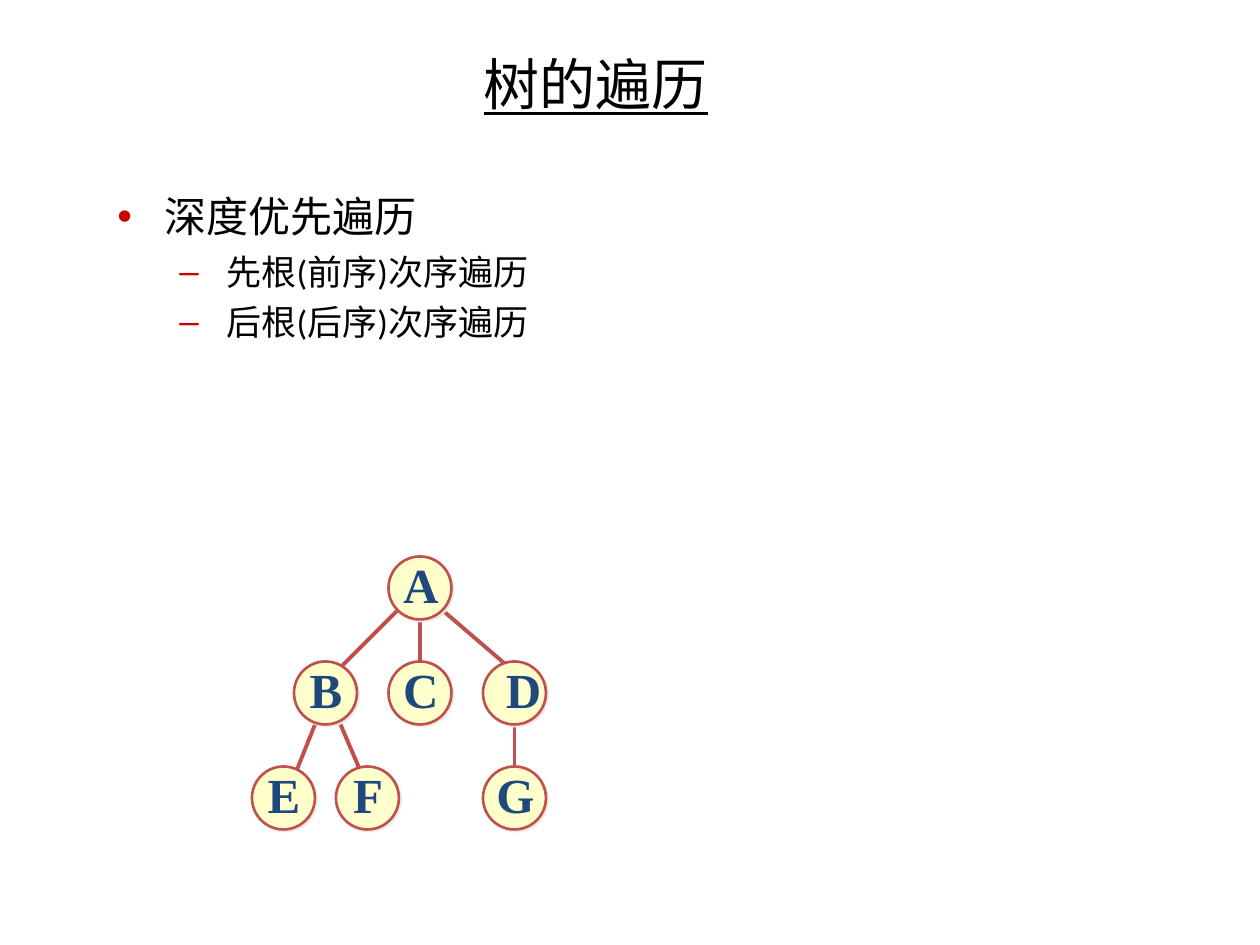
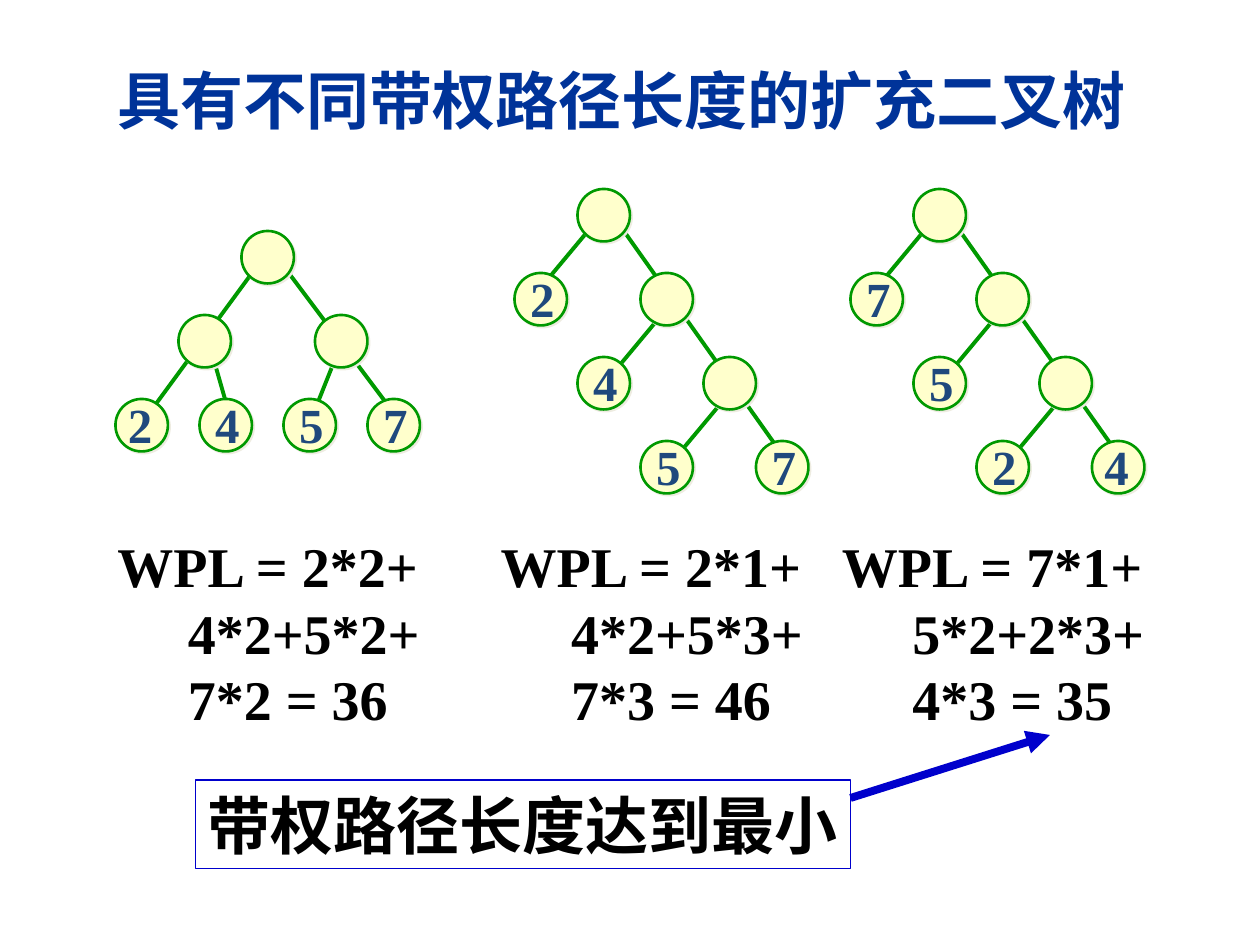
"""Builds two slides on tree traversal and weighted path length."""
from dataclasses import dataclass
from typing import Any, NamedTuple, Optional

from lxml import etree
from pptx import Presentation
from pptx import util as u
from pptx.dml.color import RGBColor
from pptx.enum import shapes, text
from pptx.oxml.ns import qn

PX = 7620


@dataclass(frozen=True)
class Theme:
    """Colours, fonts and sizes shared by the slides."""
    ink: str = "000000"
    heading: str = "003399"
    bullet: str = "CC0000"
    node: str = "FFFFCC"
    label: str = "1F497D"
    shadow: str = "EEECE1"
    red: str = "C0504D"
    green: str = "009900"
    accent: str = "0000CC"
    sans: str = "Calibri"
    serif: str = "Times New Roman"
    chinese: str = "Noto Sans CJK SC"
    banner_size: int = 36
    title_size: int = 32
    label_size: int = 28
    topic_size: int = 24
    item_size: int = 20


THEME = Theme()


class Box(NamedTuple):
    """Place and size in px."""
    x: int
    y: int
    w: int
    h: int


class Edge(NamedTuple):
    """Line ends in px."""
    x1: int
    y1: int
    x2: int
    y2: int


class Node(NamedTuple):
    """Tree node with an optional label, nudged from the node's left side."""
    x: int
    y: int
    label: str = ""
    nudge: int = 3


class Line(NamedTuple):
    """Paragraph with its indents and bullet."""
    words: str
    size: int
    margin: int = 0
    hanging: int = 0
    bullet: str = ""
    before: int = 0


@dataclass(frozen=True)
class Tree:
    """Nodes and edges drawn in one style."""
    nodes: list[Node]
    edges: list[Edge]
    color: str
    size: int
    rise: int

    def shifted(self, dx: int, labels: list[Node]) -> "Tree":
        """Return the tree moved to the right with other nodes' labels."""
        nodes = [Node(n.x + dx, n.y, m.label, m.nudge) for n, m in zip(self.nodes, labels)]
        edges = [Edge(e.x1 + dx, e.y1, e.x2 + dx, e.y2) for e in self.edges]
        return Tree(nodes, edges, self.color, self.size, self.rise)


def px(length: int) -> u.Emu:
    """Turn px into EMU."""
    return u.Emu(length * PX)


def rgb(color: str) -> RGBColor:
    """Turn a hex string into a colour."""
    return RGBColor.from_string(color)


def child(parent: Any, tag: str, **attributes: str) -> Any:
    """Append a drawing element."""
    return etree.SubElement(parent, qn(tag), attributes)


def set_marks(paragraph: Any, line: Line) -> None:
    """Set the indents and bullet of a paragraph."""
    props = paragraph._p.get_or_add_pPr()
    props.set("marL", str(px(line.margin)))
    props.set("indent", str(px(-line.hanging)))
    if line.bullet:
        child(child(props, "a:buClr"), "a:srgbClr", val=THEME.bullet)
        child(props, "a:buFont", typeface="Arial")
        child(props, "a:buChar", char=line.bullet)


def write(shape: Any, lines: list[Line], *, font: str = THEME.serif, color: str = THEME.ink,
          bold: bool = False, underline: bool = False, centred: bool = False,
          middle: bool = False, wrap: bool = True, pitch: Optional[int] = None) -> None:
    """Fill a shape with formatted lines."""
    frame = shape.text_frame
    frame.word_wrap = wrap
    frame.vertical_anchor = text.MSO_ANCHOR.MIDDLE if middle else text.MSO_ANCHOR.TOP
    for index, line in enumerate(lines):
        paragraph = frame.paragraphs[0] if index == 0 else frame.add_paragraph()
        set_marks(paragraph, line)
        paragraph.alignment = text.PP_ALIGN.CENTER if centred else text.PP_ALIGN.LEFT
        paragraph.space_before = u.Pt(line.before)
        if pitch:
            paragraph.line_spacing = u.Pt(pitch)
        run = paragraph.add_run()
        run.text = line.words
        run.font.name, run.font.size = font, u.Pt(line.size)
        run.font.bold, run.font.underline = bold, underline
        run.font.color.rgb = rgb(color)
        child(run._r.get_or_add_rPr(), "a:ea", typeface=THEME.chinese)


def add_text(slide: Any, box: Box, lines: list[Line], **style: Any) -> None:
    """Add a text box."""
    write(slide.shapes.add_textbox(*map(px, box)), lines, **style)


def add_preset(slide: Any, kind: Any, box: Box, color: str, width: float,
               fill: Optional[str] = None) -> Any:
    """Add an outlined preset shape without a shadow."""
    shape = slide.shapes.add_shape(kind, *map(px, box))
    shape.shadow.inherit = False
    shape.line.color.rgb, shape.line.width = rgb(color), u.Pt(width)
    if fill:
        shape.fill.solid()
        shape.fill.fore_color.rgb = rgb(fill)
    else:
        shape.fill.background()
    return shape


def add_line(slide: Any, edge: Edge, color: str, width: float, arrow: bool = False) -> None:
    """Add a straight line, with an arrowhead at its end if wanted."""
    line = slide.shapes.add_connector(shapes.MSO_CONNECTOR.STRAIGHT, *map(px, edge))
    line.line.color.rgb, line.line.width = rgb(color), u.Pt(width)
    if arrow:
        child(line.line._get_or_add_ln(), "a:tailEnd", type="triangle")
    child(line._element.spPr, "a:effectLst")


def add_tree(slide: Any, tree: Tree) -> None:
    """Draw the edges, nodes and labels of a tree."""
    for edge in tree.edges:
        add_line(slide, edge, tree.color, 2.25)
    for node in tree.nodes:
        circle = add_preset(slide, shapes.MSO_SHAPE.OVAL,
                            Box(node.x, node.y, tree.size, tree.size),
                            tree.color, 1.5, THEME.node)
        effects = circle._element.spPr.find(qn("a:effectLst"))
        shadow = child(effects, "a:outerShdw", dist=str(u.Pt(1.4)), dir="2700000",
                       algn="ctr", rotWithShape="0")
        child(shadow, "a:srgbClr", val=THEME.shadow)
    for node in tree.nodes:
        if node.label:
            add_text(slide, Box(node.x + node.nudge, node.y - tree.rise, tree.size - 3, 68),
                     [Line(node.label, THEME.label_size)], color=THEME.label, bold=True,
                     centred=True, middle=True, wrap=False)


def build_traversal(slide: Any) -> None:
    """Build the slide on tree traversal."""
    add_text(slide, Box(449, 34, 370, 90), [Line("树的遍历", THEME.title_size)],
             font=THEME.sans, underline=True, middle=True)
    orders = [Line(f"{order}次序遍历", THEME.item_size, 104, 45, "–", 5)
              for order in ("先根(前序)", "后根(后序)")]
    add_text(slide, Box(100, 176, 1020, 360),
             [Line("深度优先遍历", THEME.topic_size, 45, 45, "•"), *orders], font=THEME.sans)
    add_tree(slide, Tree(
        [Node(370, 530, "A", 2), Node(280, 630, "B", 2), Node(370, 630, "C", 2),
         Node(460, 630, "D", 10), Node(240, 730, "E", 2), Node(320, 730, "F", 2),
         Node(460, 730, "G", 1)],
        [Edge(380, 580, 320, 640), Edge(400, 590, 400, 640), Edge(420, 580, 490, 640),
         Edge(300, 690, 280, 740), Edge(320, 680, 350, 750), Edge(490, 680, 490, 740)],
        THEME.red, 60, 8))


def build_path_lengths(slide: Any) -> None:
    """Build the slide comparing weighted path lengths."""
    add_text(slide, Box(100, 53, 1000, 84),
             [Line("具有不同带权路径长度的扩充二叉树", THEME.banner_size)],
             color=THEME.heading, bold=True)

    sums = {
        100: ("WPL = 2*2+", "4*2+5*2+", "7*2 = 36"),
        465: ("WPL = 2*1+", "4*2+5*3+", "7*3 = 46"),
        790: ("WPL = 7*1+", "5*2+2*3+", "4*3 = 35"),
    }
    for left, (opening, *rest) in sums.items():
        add_text(slide, Box(left, 501, 330, 212),
                 [Line(opening, THEME.title_size),
                  *(Line(terms, THEME.title_size, 67) for terms in rest)],
                 bold=True, wrap=False, pitch=38)

    leaves = [Node(110 + 80 * i, 380, weight, 0 if i == 0 else 3)
              for i, weight in enumerate("2457")]
    balanced = Tree(
        [Node(230, 220), Node(170, 300), Node(300, 300), *leaves],
        [Edge(260, 240, 380, 400), Edge(320, 340, 300, 390),
         Edge(200, 330, 220, 400), Edge(240, 260, 130, 410)],
        THEME.green, 50, 10)
    inner = [Node(550 + 60 * i, 180 + 80 * i) for i in range(3)]
    outer = [Node(490 + 60 * i, 260 + 80 * i, weight) for i, weight in enumerate("245")]
    branches = [Edge(x, y, x - 50, y + 60) for x, y in ((560, 220), (630, 300), (690, 380))]
    ascending = Tree([*inner, *outer, Node(720, 420, "7")],
                     [*branches, Edge(580, 200, 750, 440)], THEME.green, 50, 10)
    optimal_labels = [*inner, *(Node(0, 0, weight) for weight in "752"), Node(0, 0, "4", 0)]
    for tree in (balanced, ascending, ascending.shifted(320, optimal_labels)):
        add_tree(slide, tree)

    add_line(slide, Edge(810, 760, 1000, 700), THEME.accent, 4.5, arrow=True)
    minimum = add_preset(slide, shapes.MSO_SHAPE.RECTANGLE, Box(186, 743, 624, 84),
                         THEME.accent, 0.75)
    write(minimum, [Line("带权路径长度达到最小", THEME.banner_size)],
          bold=True, centred=True, wrap=False)


def main() -> None:
    """Build and save the presentation."""
    deck = Presentation()
    deck.slide_width, deck.slide_height = px(1200), px(900)
    for build in (build_traversal, build_path_lengths):
        build(deck.slides.add_slide(deck.slide_layouts[6]))
    deck.save("out.pptx")


if __name__ == "__main__":
    main()
